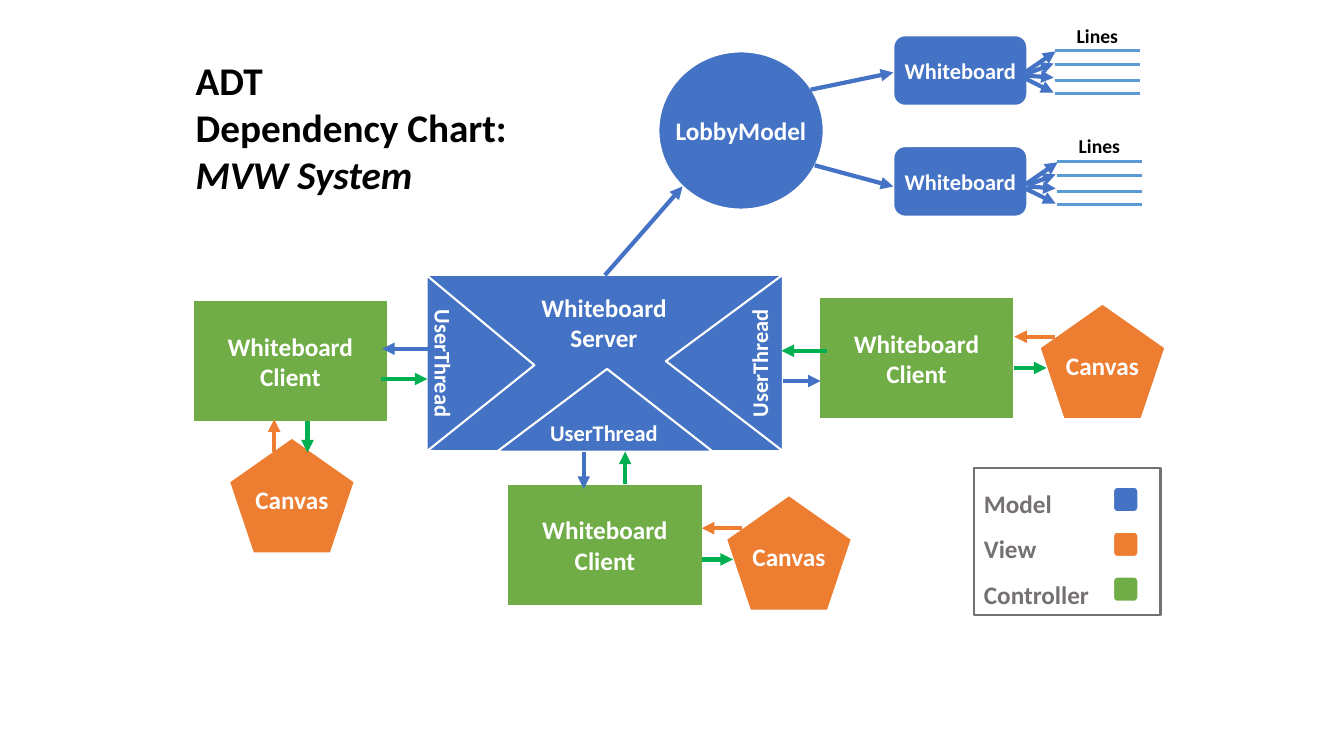
"""Builds the ADT dependency chart slide of the MVW whiteboard system."""
import pptx
import pptx.util
import pptx.dml.color
import pptx.enum.shapes
import pptx.enum.text
import pptx.oxml

Inches = pptx.util.Inches
Shapes = pptx.enum.shapes.MSO_SHAPE
Align = pptx.enum.text.PP_ALIGN
Anchor = pptx.enum.text.MSO_ANCHOR

COLORS = {"model": "4472C4", "view": "ED7D31", "controller": "70AD47", "request": "00B050",
          "stroke": "5B9BD5", "white": "FFFFFF", "black": "000000", "gray": "767171"}
FONT = "Calibri"

TITLE = ["ADT", "Dependency Chart:", "MVW System"]
TITLE_AREA = (1.84, 0.51, 3.48, 1.51)

LOBBY = (6.53, 0.51, 1.64, 1.57)
SERVER = (4.23, 2.73, 3.54, 1.75)
THREADS = [
    ((6.31, 3.02, 1.75, 1.16), 270, (6.69, 3.42, 1.68, 0.37)),
    ((3.89, 3.07, 1.75, 1.07), 90, (3.56, 3.42, 1.68, 0.37)),
    ((4.93, 3.66, 2.14, 0.82), 0, (5.15, 4.11, 1.68, 0.37)),
]
CLIENTS = [(1.91, 2.98), (5.03, 4.8), (8.12, 2.95)]
CLIENT_SIZE = (1.94, 1.21)
CANVASES = [(2.27, 4.34), (7.2, 4.91), (10.31, 3.01)]
CANVAS_SIZE = (1.25, 1.15)

BOARD = (8.86, 0.35, 1.33, 0.7)
BOARD_PITCH = 1.1
SKETCH_SHIFT = 0.02
SKETCH_LINES = [0.5, 0.64, 0.8, 0.93]
SKETCH_SPAN = (10.46, 11.31)
SKETCH_LABEL = (10.58, 0.18, 0.62, 0.34)
SKETCH_ARROWS = [(10.15, 0.73, 10.47, 0.51), (10.19, 0.73, 10.45, 0.63),
                 (10.17, 0.75, 10.45, 0.77), (10.15, 0.77, 10.45, 0.92)]

ARROWS = {
    "model": [(6, 2.73, 6.77, 1.85), (8.04, 0.89, 8.86, 0.72), (8.08, 1.64, 8.86, 1.85),
              (7.77, 3.78, 8.14, 3.78), (4.25, 3.46, 3.79, 3.46), (5.79, 4.48, 5.79, 4.85)],
    "request": [(3.78, 3.76, 4.24, 3.76), (8.2, 3.48, 7.75, 3.48), (6.2, 4.8, 6.2, 4.48),
                (3.05, 4.18, 3.05, 4.49), (6.96, 5.55, 7.27, 5.55), (10.06, 3.65, 10.38, 3.65)],
    "view": [(2.72, 4.48, 2.72, 4.16), (7.36, 5.24, 6.96, 5.24), (10.46, 3.34, 10.06, 3.34)],
}

LEGEND = [("Model", "model"), ("View", "view"), ("Controller", "controller")]
LEGEND_AREA = (9.66, 4.64, 1.85, 1.46)
SWATCH = (11.04, 4.83, 0.25, 0.25)
SWATCH_PITCH = 0.445


def rgb(name):
    return pptx.dml.color.RGBColor.from_string(COLORS[name])


def write(shape, lines, size, color="white", align=Align.CENTER, wrap=True, anchor=Anchor.MIDDLE):
    frame = shape.text_frame
    frame.text = "\n".join(lines)
    frame.word_wrap = wrap
    frame.vertical_anchor = anchor
    for para in frame.paragraphs:
        para.alignment = align
        for span in para.runs:
            span.font.name = FONT
            span.font.size = pptx.util.Pt(size)
            span.font.bold = True
            span.font.color.rgb = rgb(color)
    return frame


def add_box(slide, kind, area, fill, outline="white"):
    box = slide.shapes.add_shape(kind, *map(Inches, area))
    box.shadow.inherit = False
    if fill:
        box.fill.solid()
        box.fill.fore_color.rgb = rgb(fill)
    else:
        box.fill.background()
    box.line.color.rgb = rgb(outline)
    box.line.width = pptx.util.Pt(1.5)
    return box


def add_label(slide, area, text, size, **style):
    label = slide.shapes.add_textbox(*map(Inches, area))
    write(label, [text], size, **style)
    return label


def add_line(slide, ends, color, width, arrow=False):
    line = slide.shapes.add_connector(pptx.enum.shapes.MSO_CONNECTOR.STRAIGHT, *map(Inches, ends))
    line.line.color.rgb = rgb(color)
    line.line.width = pptx.util.Pt(width)
    namespace = 'xmlns:a="http://schemas.openxmlformats.org/drawingml/2006/main"'
    if arrow:
        line.line._get_or_add_ln().append(
            pptx.oxml.parse_xml(f'<a:tailEnd {namespace} type="triangle"/>'))
    line._element.spPr.append(pptx.oxml.parse_xml(f"<a:effectLst {namespace}/>"))


def add_title(slide):
    title = slide.shapes.title
    title.left, title.top, title.width, title.height = map(Inches, TITLE_AREA)
    frame = write(title, TITLE, 28, "black", Align.LEFT, anchor=Anchor.TOP)
    frame.paragraphs[-1].runs[0].font.italic = True


def add_server(slide):
    add_box(slide, Shapes.RECTANGLE, SERVER, "model")
    for area, rotation, label_area in THREADS:
        triangle = add_box(slide, Shapes.ISOSCELES_TRIANGLE, area, "model")
        triangle.adjustments[0] = 0.51
        triangle.rotation = rotation
        add_label(slide, label_area, "UserThread", 16).rotation = rotation
    add_label(slide, (5.15, 2.84, 1.68, 0.71), "Whiteboard Server", 18)


def add_board(slide, index):
    right, down = index * SKETCH_SHIFT, index * BOARD_PITCH
    left, top, width, height = BOARD
    board = add_box(slide, Shapes.ROUNDED_RECTANGLE, (left, top + down, width, height), "model")
    write(board, ["Whiteboard"], 16, wrap=False)
    start, end = SKETCH_SPAN
    for y in SKETCH_LINES:
        add_line(slide, (start + right, y + down, end + right, y + down), "stroke", 2.25)
    left, top, width, height = SKETCH_LABEL
    add_label(slide, (left + right, top + down, width, height), "Lines", 14,
              color="black", align=Align.LEFT, wrap=False)
    for x1, y1, x2, y2 in SKETCH_ARROWS:
        add_line(slide, (x1 + right, y1 + down, x2 + right, y2 + down), "model", 3, True)


def add_legend(slide):
    panel = add_box(slide, Shapes.RECTANGLE, LEGEND_AREA, None, "gray")
    frame = write(panel, [name for name, _ in LEGEND], 18, "gray", Align.LEFT)
    for para in frame.paragraphs:
        para.line_spacing = 1.5
    left, top, width, height = SWATCH
    for row, (_, color) in enumerate(LEGEND):
        area = (left, top + row * SWATCH_PITCH, width, height)
        add_box(slide, Shapes.ROUNDED_RECTANGLE, area, color)


def main():
    deck = pptx.Presentation()
    deck.slide_width, deck.slide_height = Inches(13.33), Inches(7.5)
    slide = deck.slides.add_slide(deck.slide_layouts[5])
    add_title(slide)
    write(add_box(slide, Shapes.OVAL, LOBBY, "model"), ["LobbyModel"], 18, wrap=False)
    add_server(slide)
    for corner in CLIENTS:
        client = add_box(slide, Shapes.RECTANGLE, corner + CLIENT_SIZE, "controller")
        write(client, ["Whiteboard Client"], 18)
    for corner in CANVASES:
        canvas = add_box(slide, Shapes.REGULAR_PENTAGON, corner + CANVAS_SIZE, "view")
        frame = write(canvas, ["Canvas"], 18, wrap=False)
        frame.margin_top, frame.margin_bottom = 0, Inches(0.2)
    for index in range(2):
        add_board(slide, index)
    for color, routes in ARROWS.items():
        for ends in routes:
            add_line(slide, ends, color, 3, True)
    add_legend(slide)
    deck.save("out.pptx")


if __name__ == "__main__":
    main()
